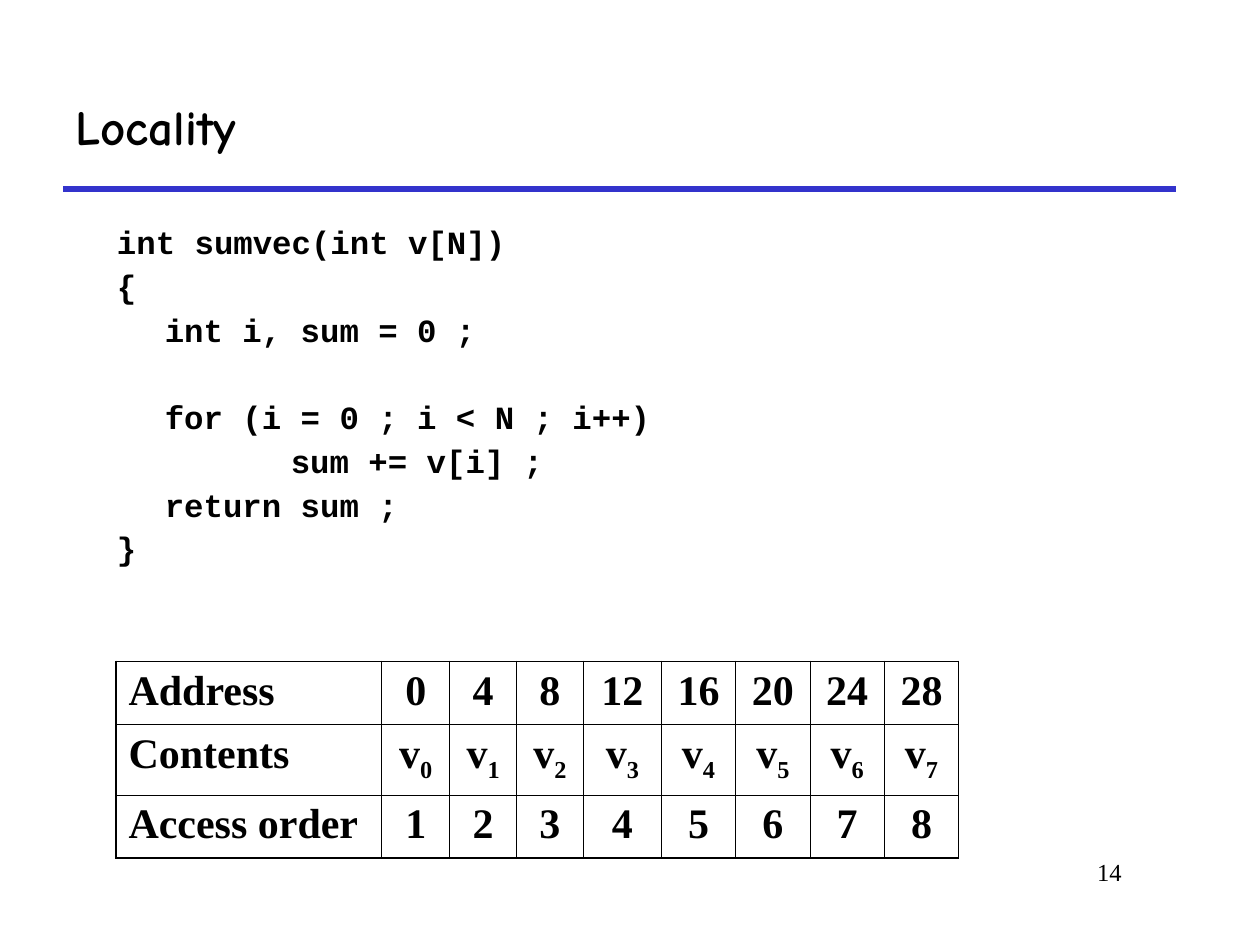
from lxml import etree
from pptx import Presentation
from pptx.dml.color import RGBColor
from pptx.enum.shapes import MSO_CONNECTOR
from pptx.enum.text import MSO_ANCHOR, PP_ALIGN
from pptx.oxml.ns import qn
from pptx.util import Inches, Pt

STRAIGHT = MSO_CONNECTOR.STRAIGHT
TOP, MIDDLE = MSO_ANCHOR.TOP, MSO_ANCHOR.MIDDLE
LEFT, CENTER, RIGHT = PP_ALIGN.LEFT, PP_ALIGN.CENTER, PP_ALIGN.RIGHT
TITLE_FONT, CODE_FONT, SERIF = "Comic Neue", "Courier New", "Times New Roman"
BLACK, BLUE = "000000", "3333CC"
INNER_WIDTH, OUTER_WIDTH = 0.45, 1.08

CODE_LINES = [
    ("int sumvec(int v[N])", 0, 0),
    ("{", 0, 5),
    ("int i, sum = 0 ;", 0.38, 5),
    ("for (i = 0 ; i < N ; i++)", 0.38, 30),
    ("sum += v[i] ;", 1.38, 5),
    ("return sum ;", 0.38, 5),
    ("}", 0, 5),
]
COLUMN_WIDTHS = [2.11, 0.54, 0.53, 0.53, 0.62] + [0.59] * 4
ROW_HEIGHTS = [0.5, 0.56, 0.5]
ACCESSES = range(8)
TABLE_ROWS = [
    ["Address"] + [str(4 * index) for index in ACCESSES],
    ["Contents"] + [f"v_{index}" for index in ACCESSES],
    ["Access order"] + [str(index + 1) for index in ACCESSES],
]


def color(value):
    """Turn a hex string into a colour."""
    return RGBColor.from_string(value)


def add_span(para, text, font=SERIF, size=24, bold=True, baseline=None):
    """Add a formatted run to a paragraph."""
    span = para.add_run()
    span.text = text
    span.font.name = font
    span.font.size = Pt(size)
    span.font.bold = bold
    span.font.color.rgb = color(BLACK)
    if baseline is not None:
        span.font._element.set("baseline", str(baseline))


def add_text(page, text, left, top, width, height, align=LEFT, anchor=TOP, **style):
    """Add a text box with one paragraph and return its frame."""
    box = page.shapes.add_textbox(Inches(left), Inches(top), Inches(width), Inches(height))
    frame = box.text_frame
    frame.word_wrap = True
    frame.vertical_anchor = anchor
    frame.paragraphs[0].alignment = align
    add_span(frame.paragraphs[0], text, **style)
    return frame


def add_code(page, lines, left, top, width, height):
    """Add a code listing from lines of text, indent and space before."""
    style = {"font": CODE_FONT, "size": 18.5}
    frame = add_text(page, lines[0][0], left, top, width, height, **style)
    for text, _, _ in lines[1:]:
        add_span(frame.add_paragraph(), text, **style)
    for para, (_, indent, space) in zip(frame.paragraphs, lines):
        para._p.get_or_add_pPr().set("marL", str(Inches(indent)))
        para.line_spacing = 0.9
        para.space_before = Pt(space)


def add_rule(page, left, right, y):
    """Add the horizontal rule under the title."""
    rule = page.shapes.add_connector(STRAIGHT, Inches(left), Inches(y), Inches(right), Inches(y))
    rule.line.color.rgb = color(BLUE)
    rule.line.width = Pt(3)
    etree.SubElement(rule._element.spPr, qn("a:effectLst"))


def set_borders(cell, widths):
    """Draw the left, right, top and bottom borders of a cell."""
    properties = cell._tc.get_or_add_tcPr()
    for position, (side, width) in enumerate(zip("LRTB", widths)):
        border = etree.Element(qn(f"a:ln{side}"), w=str(Pt(width)))
        fill = etree.SubElement(border, qn("a:solidFill"))
        etree.SubElement(fill, qn("a:srgbClr"), val=BLACK)
        properties.insert(position, border)


def add_grid(page, rows, left, top):
    """Add the table with thin inner and thicker outer borders."""
    last_row, last_column = len(rows) - 1, len(COLUMN_WIDTHS) - 1
    table = page.shapes.add_table(
        len(rows), len(COLUMN_WIDTHS), Inches(left), Inches(top),
        Inches(sum(COLUMN_WIDTHS)), Inches(sum(ROW_HEIGHTS)),
    ).table
    table.first_row = table.horz_banding = False
    for column, width in zip(table.columns, COLUMN_WIDTHS):
        column.width = Inches(width)
    for row, height in zip(table.rows, ROW_HEIGHTS):
        row.height = Inches(height)
    for r, texts in enumerate(rows):
        for c, text in enumerate(texts):
            cell = table.cell(r, c)
            cell.fill.background()
            para = cell.text_frame.paragraphs[0]
            para.alignment = CENTER if c else LEFT
            base, _, subscript = text.partition("_")
            add_span(para, base)
            if subscript:
                add_span(para, subscript, baseline=-25000)
            edges = (c == 0, c == last_column, r == 0, r == last_row)
            set_borders(cell, [OUTER_WIDTH if edge else INNER_WIDTH for edge in edges])


def main():
    """Build the slide and save it."""
    deck = Presentation()
    deck.slide_width, deck.slide_height = Inches(10), Inches(7.5)
    page = deck.slides.add_slide(deck.slide_layouts[6])
    add_rule(page, 0.5, 9.33, 1.5)
    add_text(page, "14", 7.58, 6.75, 1.42, 0.5, align=RIGHT, size=14, bold=False)
    add_text(page, "Locality", 0.5, 0.5, 8.83, 1, anchor=MIDDLE, font=TITLE_FONT, size=28)
    add_code(page, CODE_LINES, 0.83, 1.75, 7.75, 3.17)
    add_grid(page, TABLE_ROWS, 0.92, 5.25)
    deck.save("out.pptx")


if __name__ == "__main__":
    main()
